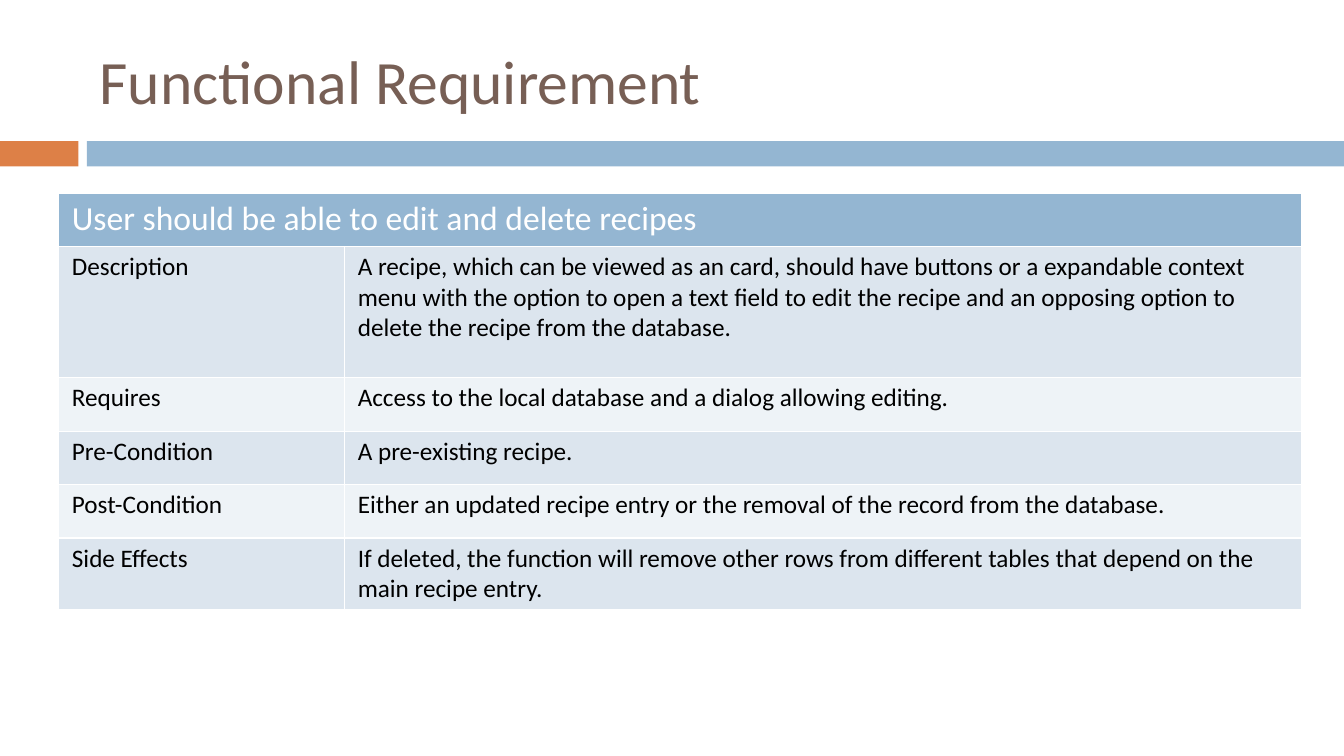
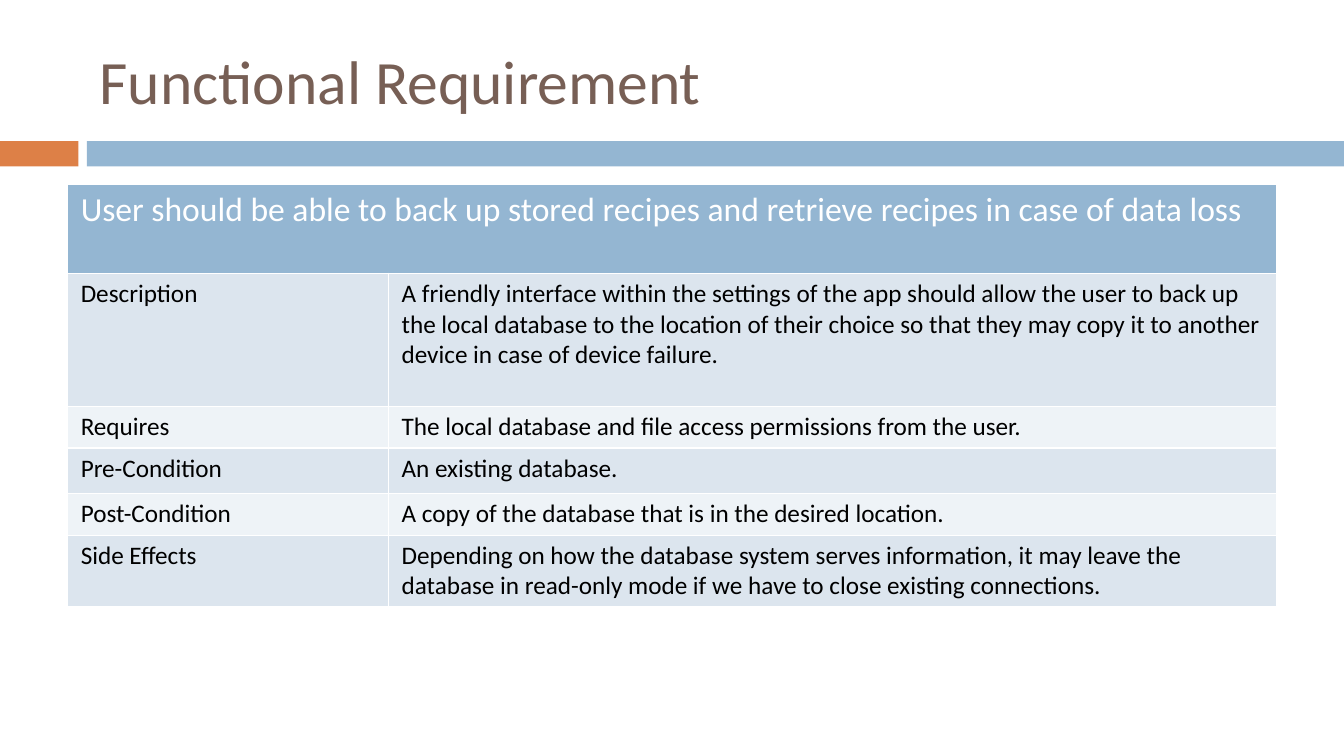
"""Build two functional requirement slides, each with a titled band and a table."""

from dataclasses import dataclass

from pptx import Presentation
from pptx.dml.color import RGBColor
from pptx.enum.shapes import MSO_SHAPE
from pptx.enum.text import MSO_ANCHOR, PP_ALIGN
from pptx.util import Pt

RECTANGLE = MSO_SHAPE.RECTANGLE
MIDDLE = MSO_ANCHOR.MIDDLE
LEFT = PP_ALIGN.LEFT

ORANGE = RGBColor(0xDD, 0x80, 0x47)
BLUE = RGBColor(0x94, 0xB6, 0xD2)
BROWN = RGBColor(0x77, 0x5F, 0x55)
DARK_ROW = RGBColor(0xDC, 0xE5, 0xEE)
LIGHT_ROW = RGBColor(0xEE, 0xF3, 0xF7)
WHITE = RGBColor(0xFF, 0xFF, 0xFF)
BLACK = RGBColor(0x00, 0x00, 0x00)

FONT = "Calibri"
TITLE = "Functional Requirement"
TITLE_ONLY_LAYOUT = 5
SLIDE_WIDTH, SLIDE_HEIGHT = 960, 540
BAND_TOP, BAND_HEIGHT = 100.8, 18
LABELS = ("Description", "Requires", "Pre-Condition", "Post-Condition", "Side Effects")


@dataclass(frozen=True)
class Band:
    """A coloured stretch of the strip below the title."""

    left: float
    right: float
    color: RGBColor


@dataclass(frozen=True)
class Requirement:
    """A requirement and the layout of its table, in points."""

    heading: str
    details: tuple[str, ...]
    left: float
    top: float
    column_widths: tuple[float, ...]
    row_heights: tuple[float, ...]


BANDS = (Band(0, 56, ORANGE), Band(62, SLIDE_WIDTH, BLUE))

REQUIREMENTS = (
    Requirement(
        heading="User should be able to edit and delete recipes",
        details=(
            "A recipe, which can be viewed as an card, should have buttons or a "
            "expandable context menu with the option to open a text field to edit "
            "the recipe and an opposing option to delete the recipe from the database.",
            "Access to the local database and a dialog allowing editing.",
            "A pre-existing recipe.",
            "Either an updated recipe entry or the removal of the record from the database.",
            "If deleted, the function will remove other rows from different tables "
            "that depend on the main recipe entry.",
        ),
        left=42,
        top=138.5,
        column_widths=(204.2, 683.3),
        row_heights=(37.5, 93.8, 38.2, 38.2, 38.2, 51.2),
    ),
    Requirement(
        heading="User should be able to back up stored recipes and retrieve "
        "recipes in case of data loss",
        details=(
            "A friendly interface within the settings of the app should allow the "
            "user to back up the local database to the location of their choice so "
            "that they may copy it to another device in case of device failure.",
            "The local database and file access permissions from the user.",
            "An existing database.",
            "A copy of the database that is in the desired location.",
            "Depending on how the database system serves information, it may leave "
            "the database in read-only mode if we have to close existing connections.",
        ),
        left=48.3,
        top=132,
        column_widths=(229.2, 634.3),
        row_heights=(63.2, 95.4, 29.5, 32.2, 30, 51.2),
    ),
)


def format_text(text_frame, size: float, color: RGBColor) -> None:
    """Format every run of a text frame."""
    for paragraph in text_frame.paragraphs:
        paragraph.alignment = LEFT
        for run in paragraph.runs:
            run.font.name = FONT
            run.font.size = Pt(size)
            run.font.bold = False
            run.font.color.rgb = color


def set_title(slide) -> None:
    """Place and format the slide title."""
    title = slide.shapes.title
    title.left, title.top, title.width, title.height = Pt(64), Pt(18), Pt(856), Pt(78)
    title.text_frame.text = TITLE
    title.text_frame.vertical_anchor = MIDDLE
    format_text(title.text_frame, 44, BROWN)


def add_band(slide, band: Band) -> None:
    """Draw one band below the title."""
    shape = slide.shapes.add_shape(
        RECTANGLE, Pt(band.left), Pt(BAND_TOP), Pt(band.right - band.left), Pt(BAND_HEIGHT)
    )
    shape.shadow.inherit = False
    shape.fill.solid()
    shape.fill.fore_color.rgb = band.color
    shape.line.fill.background()


def fill_cell(cell, text: str, size: float, color: RGBColor, fill: RGBColor) -> None:
    """Set the text, margins and fill of a table cell."""
    cell.margin_left = cell.margin_right = Pt(9.4)
    cell.margin_top = cell.margin_bottom = Pt(3.6)
    cell.fill.solid()
    cell.fill.fore_color.rgb = fill
    cell.text_frame.text = text
    format_text(cell.text_frame, size, color)


def add_requirement_table(slide, requirement: Requirement) -> None:
    """Draw the table of one requirement under a merged heading row."""
    widths, heights = requirement.column_widths, requirement.row_heights
    table = slide.shapes.add_table(
        len(heights),
        len(widths),
        Pt(requirement.left),
        Pt(requirement.top),
        Pt(sum(widths)),
        Pt(sum(heights)),
    ).table
    for column, width in zip(table.columns, widths):
        column.width = Pt(width)
    for row, height in zip(table.rows, heights):
        row.height = Pt(height)

    heading = table.cell(0, 0)
    heading.merge(table.cell(0, len(widths) - 1))
    fill_cell(heading, requirement.heading, 24, WHITE, BLUE)
    for row_index, texts in enumerate(zip(LABELS, requirement.details), start=1):
        fill = DARK_ROW if row_index % 2 else LIGHT_ROW
        for column_index, text in enumerate(texts):
            fill_cell(table.cell(row_index, column_index), text, 18, BLACK, fill)


def main() -> None:
    """Build and save the presentation."""
    presentation = Presentation()
    presentation.slide_width = Pt(SLIDE_WIDTH)
    presentation.slide_height = Pt(SLIDE_HEIGHT)
    for requirement in REQUIREMENTS:
        slide = presentation.slides.add_slide(presentation.slide_layouts[TITLE_ONLY_LAYOUT])
        set_title(slide)
        for band in BANDS:
            add_band(slide, band)
        add_requirement_table(slide, requirement)
    presentation.save("out.pptx")


if __name__ == "__main__":
    main()
